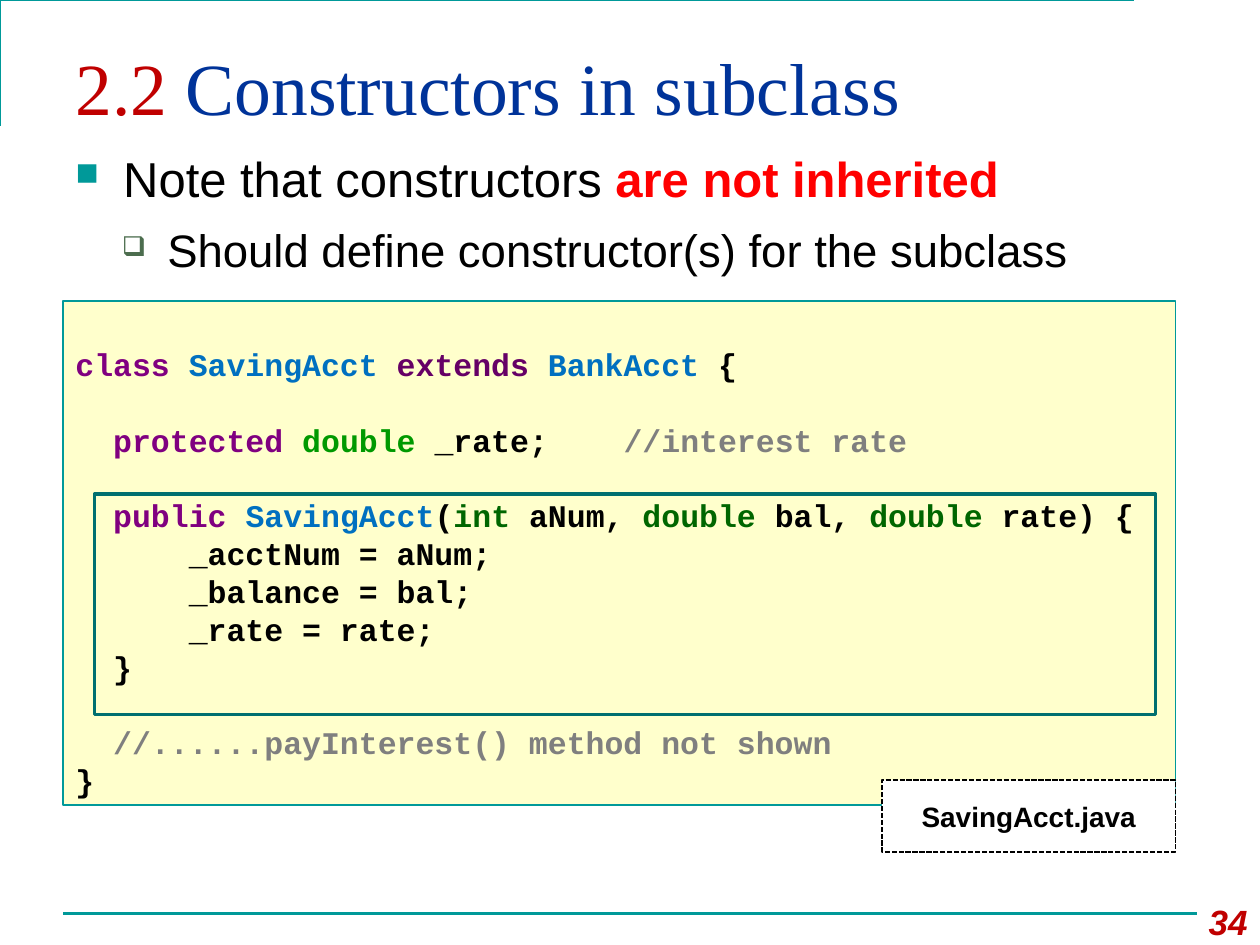
from typing import NamedTuple, Optional

import pptx
import pptx.dml.color
import pptx.enum.dml
import pptx.enum.shapes
import pptx.enum.text
import pptx.oxml
import pptx.oxml.ns
import pptx.util
from lxml import etree

WIDTH, HEIGHT = 10, 7.5
TEAL, RED, BLACK = "009999", "C00000", "000000"
KEYWORD, CLASS, TYPE, COMMENT = "800080", "0070C0", "006600", "7F7F7F"
CODE_PITCH = 21.6
ALIGN = pptx.enum.text.PP_ALIGN
ANCHOR = pptx.enum.text.MSO_ANCHOR


class Box(NamedTuple):
    left: float
    top: float
    width: float
    height: float


class Style(NamedTuple):
    font: str
    size: float
    bold: bool = False
    italic: bool = False


class Run(NamedTuple):
    text: str
    color: str = BLACK
    bold: bool = False


class Bullet(NamedTuple):
    char: str
    color: str
    percent: int
    indent: float
    hanging: float


class Code(NamedTuple):
    runs: list[Run]
    blank_before: bool = False


CODE = [
    Code([Run("class ", KEYWORD), Run("SavingAcct ", CLASS), Run("extends ", "660066"),
          Run("BankAcct", CLASS), Run(" {")]),
    Code([Run("  protected ", KEYWORD), Run("double", "009900"), Run(" _rate;    "),
          Run("//interest rate", COMMENT)], True),
    Code([Run("  public ", KEYWORD), Run("SavingAcct", CLASS), Run("("), Run("int", TYPE),
          Run(" aNum, "), Run("double", TYPE), Run(" bal, "), Run("double", TYPE),
          Run(" rate) {")], True),
    Code([Run("      _acctNum = aNum;")]),
    Code([Run("      _balance = bal;")]),
    Code([Run("      _rate = rate;")]),
    Code([Run("  }")]),
    Code([Run("  //......payInterest() method not shown", COMMENT)], True),
    Code([Run("}")]),
]


def rgb(value: str) -> pptx.dml.color.RGBColor:
    return pptx.dml.color.RGBColor.from_string(value)


def set_line(sp, color: str, width: float) -> None:
    sp.line.color.rgb = rgb(color)
    sp.line.width = pptx.util.Pt(width)


def inches(box: Box) -> list[int]:
    return [pptx.util.Inches(v) for v in box]


def add_rect(s, box: Box, fill: Optional[str], line: str, width: float):
    sp = s.shapes.add_shape(pptx.enum.shapes.MSO_SHAPE.RECTANGLE, *inches(box))
    sp.shadow.inherit = False
    if fill:
        sp.fill.solid()
        sp.fill.fore_color.rgb = rgb(fill)
    else:
        sp.fill.background()
    set_line(sp, line, width)
    return sp


def add_textbox(s, box: Box):
    return s.shapes.add_textbox(*inches(box))


def set_frame(sp, anchor=ANCHOR.TOP, top: float = 0.05):
    tf = sp.text_frame
    tf.word_wrap = True
    tf.vertical_anchor = anchor
    tf.margin_top = pptx.util.Inches(top)
    return tf


def add_paragraph(tf, runs: list[Run], style: Style, align=ALIGN.LEFT, before: float = 0):
    """Fill the frame's empty first paragraph, or append a new one."""
    p = tf.paragraphs[0] if not tf.paragraphs[0].runs else tf.add_paragraph()
    p.alignment = align
    p.space_before = pptx.util.Pt(before)
    for run in runs:
        r = p.add_run()
        r.text = run.text
        r.font.name = style.font
        r.font.size = pptx.util.Pt(style.size)
        r.font.bold = style.bold or run.bold
        r.font.italic = style.italic
        r.font.color.rgb = rgb(run.color)
    return p


def set_bullet(p, bullet: Bullet) -> None:
    props = p._p.get_or_add_pPr()
    props.set("marL", str(pptx.util.Inches(bullet.indent)))
    props.set("indent", str(pptx.util.Inches(-bullet.hanging)))
    qn = pptx.oxml.ns.qn
    color = etree.SubElement(props, qn("a:buClr"))
    etree.SubElement(color, qn("a:srgbClr"), val=bullet.color)
    etree.SubElement(props, qn("a:buSzPct"), val=str(bullet.percent * 1000))
    etree.SubElement(props, qn("a:buChar"), char=bullet.char)


def add_frame_lines(s) -> None:
    corner = s.shapes.build_freeform(0.42, 0.83, scale=pptx.util.Inches(1))
    corner.add_line_segments([(0.42, 0.17), (9.42, 0.17)], close=False)
    sp = corner.convert_to_shape()
    sp.shadow.inherit = False
    sp.fill.background()
    set_line(sp, TEAL, 1.5)
    ends = [pptx.util.Inches(v) for v in (0.5, 7.25, 9.5, 7.25)]
    rule = s.shapes.add_connector(pptx.enum.shapes.MSO_CONNECTOR.STRAIGHT, *ends)
    set_line(rule, TEAL, 1.5)
    etree.SubElement(rule._element.spPr, pptx.oxml.ns.qn("a:effectLst"))


def add_body(s) -> None:
    tf = set_frame(add_textbox(s, Box(0.5, 1.09, 9, 1.2)), top=0.09)
    p = add_paragraph(tf, [Run("Note that constructors "),
                           Run("are not inherited", "FF0000", True)], Style("Arial", 28))
    set_bullet(p, Bullet("■", TEAL, 65, 0.38, 0.38))
    p = add_paragraph(tf, [Run("Should define constructor(s) for the subclass")],
                      Style("Arial", 26), before=8.5)
    set_bullet(p, Bullet("❑", "4C6D4E", 60, 0.73, 0.36))


def add_code(s) -> None:
    panel = add_rect(s, Box(0.5, 2.39, 8.83, 4), "FFFFCC", TEAL, 0.75)
    tf = set_frame(panel, top=0.05 + CODE_PITCH / 72)
    for line in CODE:
        p = add_paragraph(tf, line.runs, Style("Courier New", 18, bold=True),
                          before=CODE_PITCH * line.blank_before)
        p.line_spacing = pptx.util.Pt(CODE_PITCH)


def add_file_label(s) -> None:
    label = add_rect(s, Box(7, 6.19, 2.33, 0.57), "FFFFFF", BLACK, 1)
    label.line.dash_style = pptx.enum.dml.MSO_LINE.SQUARE_DOT
    add_paragraph(set_frame(label, ANCHOR.MIDDLE), [Run("SavingAcct.java")],
                  Style("Arial", 16, bold=True), ALIGN.CENTER)


def main() -> None:
    prs = pptx.Presentation()
    prs.slide_width = pptx.util.Inches(WIDTH)
    prs.slide_height = pptx.util.Inches(HEIGHT)
    s = prs.slides.add_slide(prs.slide_layouts[6])
    add_frame_lines(s)
    title = set_frame(add_textbox(s, Box(0.5, 0.25, 9, 0.86)), ANCHOR.MIDDLE)
    add_paragraph(title, [Run("2.2 ", RED), Run("Constructors in subclass", "003399")],
                  Style("Times New Roman", 42))
    add_body(s)
    number = set_frame(add_textbox(s, Box(9.33, 7.1, 0.67, 0.4)))
    add_paragraph(number, [Run("34", RED)], Style("Arial", 20, True, True), ALIGN.RIGHT)
    add_code(s)
    add_file_label(s)
    add_rect(s, Box(0.75, 3.92, 8.42, 1.75), None, "006F6F", 2)
    prs.save("out.pptx")


if __name__ == "__main__":
    main()
